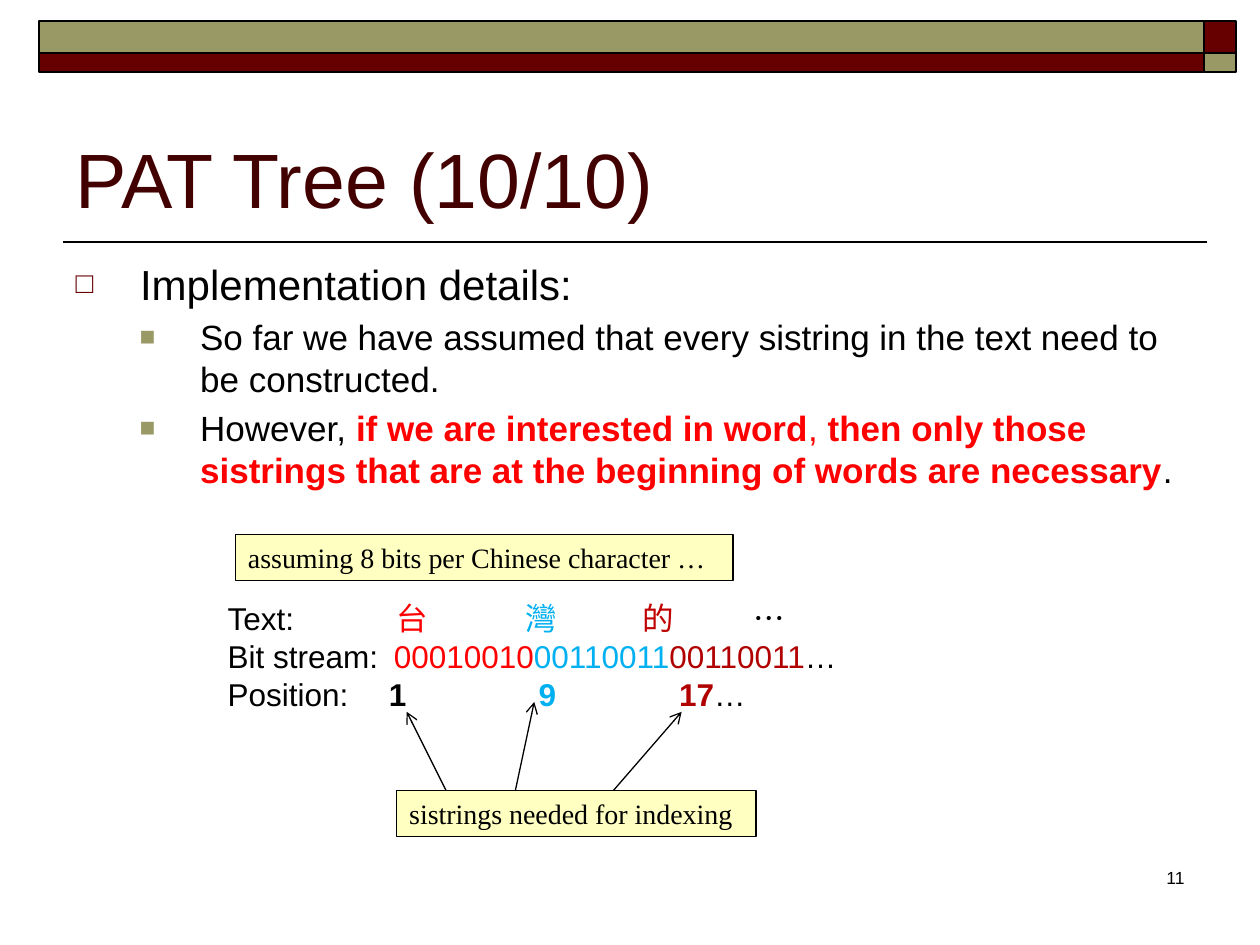
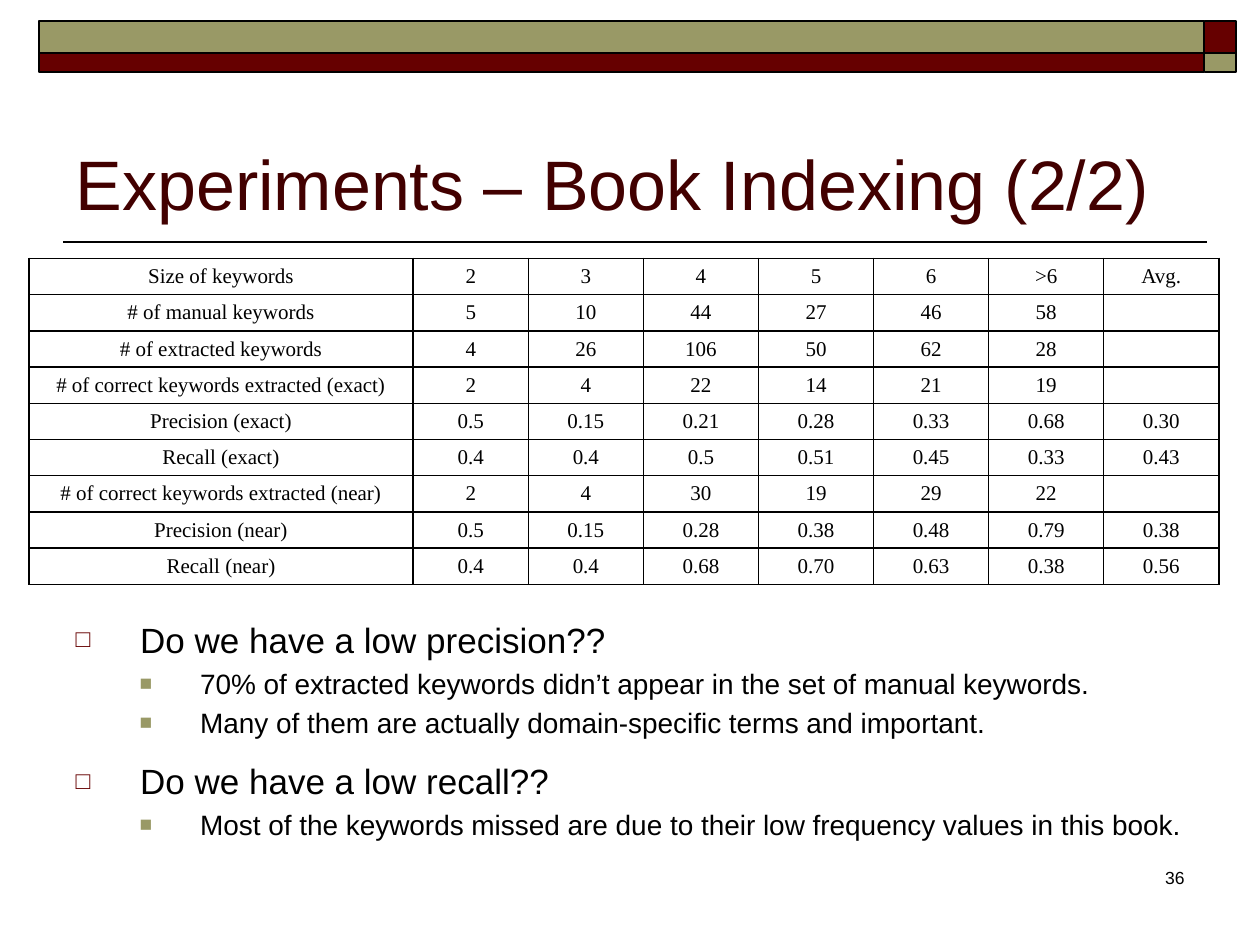
from lxml import etree
from pptx import Presentation
from pptx.dml.color import RGBColor
from pptx.enum.shapes import MSO_CONNECTOR, MSO_SHAPE
from pptx.enum.text import MSO_ANCHOR, MSO_AUTO_SIZE, PP_ALIGN
from pptx.oxml.ns import qn
from pptx.util import Cm, Pt

RECTANGLE = MSO_SHAPE.RECTANGLE
STRAIGHT = MSO_CONNECTOR.STRAIGHT
TOP, MIDDLE, BOTTOM = MSO_ANCHOR.TOP, MSO_ANCHOR.MIDDLE, MSO_ANCHOR.BOTTOM
LEFT, CENTER, RIGHT = PP_ALIGN.LEFT, PP_ALIGN.CENTER, PP_ALIGN.RIGHT
NO_FIT = MSO_AUTO_SIZE.NONE

SANS, SERIF = "Arial", "Times New Roman"
COLORS = {
    "black": "000000",
    "white": "FFFFFF",
    "title": "420000",
    "maroon": "660000",
    "olive": "999966",
    "note": "FFFFC2",
    "red": "FF0000",
    "blue": "00B0F0",
    "crimson": "C00000",
    "brick": "B10000",
}
BULLETS = [
    {"char": "□", "color": "maroon", "percent": 70, "left": 1.3, "hanging": 1.3},
    {"char": "■", "color": "olive", "percent": 75, "left": 2.51, "hanging": 1.22},
]

ASSUMPTIONS = [
    (0, "Implementation details:"),
    (1, "So far we have assumed that every sistring in the text need to be constructed."),
    (1, [
        ("However, ", "black", False),
        ("if we are interested in word", "red", True),
        (", ", "red", False),
        ("then only those sistrings that are at the beginning of words are necessary",
         "red", True),
        (".", "black", False),
    ]),
]
ENCODING = [
    ([3.4, 6, 8.37, 10.6], [
        ("Text:\t", "black", False), ("台\t", "red", False), ("灣\t", "blue", False),
        ("的\t", "crimson", False), ("…", "black", False),
    ]),
    ([3.35], [
        ("Bit stream:\t", "black", False), ("00010010", "red", False),
        ("00110011", "blue", False), ("00110011", "brick", False),
        ("…", "black", False),
    ]),
    ([3.25, 6.27, 9.1], [
        ("Position:\t", "black", False), ("1\t", "black", True), ("9\t", "blue", True),
        ("17", "brick", True), ("…", "black", False),
    ]),
]
INDEX_ARROWS = [
    ((8.99, 15.93), (8.2, 14.35)),
    ((10.39, 15.93), (10.77, 14.15)),
    ((12.37, 15.93), (13.74, 14.35)),
]
RESULTS = [
    ["Size of keywords", "2", "3", "4", "5", "6", ">6", "Avg."],
    ["# of manual keywords", "5", "10", "44", "27", "46", "58", ""],
    ["# of extracted keywords", "4", "26", "106", "50", "62", "28", ""],
    ["# of correct keywords extracted (exact)", "2", "4", "22", "14", "21", "19", ""],
    ["Precision (exact)", "0.5", "0.15", "0.21", "0.28", "0.33", "0.68", "0.30"],
    ["Recall (exact)", "0.4", "0.4", "0.5", "0.51", "0.45", "0.33", "0.43"],
    ["# of correct keywords extracted (near)", "2", "4", "30", "19", "29", "22", ""],
    ["Precision (near)", "0.5", "0.15", "0.28", "0.38", "0.48", "0.79", "0.38"],
    ["Recall (near)", "0.4", "0.4", "0.68", "0.70", "0.63", "0.38", "0.56"],
]
QUESTIONS = [
    (0, "Do we have a low precision??"),
    (1, "70% of extracted keywords didn’t appear in the set of manual keywords."),
    (1, "Many of them are actually domain-specific terms and important."),
    (0, "Do we have a low recall??"),
    (1, "Most of the keywords missed are due to their low frequency values in this book."),
]


def rgb(name):
    return RGBColor.from_string(COLORS[name])


def add_xml(parent, tag, **attributes):
    return etree.SubElement(parent, qn(tag), {k: str(v) for k, v in attributes.items()})


def put_text(paragraph, content, *, size, color="black", font=SANS, align=LEFT):
    paragraph.alignment = align
    pieces = [(content, color, False)] if isinstance(content, str) else content
    for words, shade, bold in pieces:
        run = paragraph.add_run()
        run.text = words
        run.font.name = font
        run.font.size = Pt(size)
        run.font.bold = bold
        run.font.color.rgb = rgb(shade)


def set_frame(frame, anchor=TOP, wrap=True):
    frame.word_wrap = wrap
    frame.auto_size = NO_FIT
    frame.vertical_anchor = anchor
    return frame


def next_paragraph(frame, index):
    return frame.add_paragraph() if index else frame.paragraphs[0]


def place(shape, left, top, width, height):
    shape.left, shape.top = Cm(left), Cm(top)
    shape.width, shape.height = Cm(width), Cm(height)


def add_box(slide, left, top, width, height, fill, line_width):
    box = slide.shapes.add_shape(RECTANGLE, Cm(left), Cm(top), Cm(width), Cm(height))
    box.shadow.inherit = False
    box.fill.solid()
    box.fill.fore_color.rgb = rgb(fill)
    box.line.color.rgb = rgb("black")
    box.line.width = Pt(line_width)
    return box


def add_line(slide, start, end, width, arrow=False):
    line = slide.shapes.add_connector(STRAIGHT, *map(Cm, start + end))
    line.line.color.rgb = rgb("black")
    line.line.width = Pt(width)
    properties = line._element.spPr
    if arrow:
        add_xml(properties.find(qn("a:ln")), "a:tailEnd", type="arrow")
    add_xml(properties, "a:effectLst")


def add_note(slide, words, left, top, width):
    note = add_box(slide, left, top, width, 0.94, "note", 0.75)
    frame = set_frame(note.text_frame, MIDDLE, wrap=False)
    put_text(frame.paragraphs[0], words, size=16, font=SERIF)


def add_text_box(slide, left, top, width, height):
    box = slide.shapes.add_textbox(Cm(left), Cm(top), Cm(width), Cm(height))
    return set_frame(box.text_frame)


def add_bullet(paragraph, level):
    style = BULLETS[level]
    paragraph.level = level
    properties = paragraph._p.get_or_add_pPr()
    properties.set("marL", str(Cm(style["left"])))
    properties.set("indent", str(-Cm(style["hanging"])))
    add_xml(add_xml(properties, "a:buClr"), "a:srgbClr", val=COLORS[style["color"]])
    add_xml(properties, "a:buSzPct", val=style["percent"] * 1000)
    add_xml(properties, "a:buFont", typeface=SANS)
    add_xml(properties, "a:buChar", char=style["char"])


def fill_list(slide, items, top, height, sizes, section_gap=0):
    body = slide.placeholders[1]
    place(body, 1.27, top, 22.86, height)
    frame = set_frame(body.text_frame)
    for index, (level, content) in enumerate(items):
        paragraph = next_paragraph(frame, index)
        put_text(paragraph, content, size=sizes[level])
        gap = section_gap if index and level == 0 else 0
        paragraph.space_before = Pt(sizes[level] * 0.2 + gap)
        add_bullet(paragraph, level)


def add_encoding(slide):
    frame = add_text_box(slide, 4.34, 11.96, 13.11, 2.57)
    for index, (stops, pieces) in enumerate(ENCODING):
        paragraph = next_paragraph(frame, index)
        put_text(paragraph, pieces, size=18)
        tabs = add_xml(paragraph._p.get_or_add_pPr(), "a:tabLst")
        for stop in stops:
            add_xml(tabs, "a:tab", pos=Cm(stop), algn="l")


def add_borders(cell):
    properties = cell._tc.get_or_add_tcPr()
    for side in ("a:lnL", "a:lnR", "a:lnT", "a:lnB"):
        border = add_xml(properties, side, w=Pt(1))
        add_xml(add_xml(border, "a:solidFill"), "a:srgbClr", val=COLORS["black"])


def add_results(slide):
    label_width, value_width, row_height = 7.75, 2.32, 0.73
    rows, columns = len(RESULTS), len(RESULTS[0])
    width = label_width + value_width * (columns - 1)
    table = slide.shapes.add_table(
        rows, columns, Cm(0.58), Cm(5.21), Cm(width), Cm(row_height * rows)).table
    table.first_row = table.horz_banding = False
    for index, column in enumerate(table.columns):
        column.width = Cm(value_width if index else label_width)
    for row, values in zip(table.rows, RESULTS):
        row.height = Cm(row_height)
        for cell, value in zip(row.cells, values):
            add_borders(cell)
            cell.fill.solid()
            cell.fill.fore_color.rgb = rgb("white")
            cell.vertical_anchor = MIDDLE
            cell.margin_top = cell.margin_bottom = Cm(0.05)
            paragraph = cell.text_frame.paragraphs[0]
            if value:
                put_text(paragraph, value, size=12, font=SERIF, align=CENTER)
            else:
                add_xml(paragraph._p, "a:endParaRPr", sz=1200)


def add_slide(deck, title, title_size, number):
    slide = deck.slides.add_slide(deck.slide_layouts[1])
    add_line(slide, (24.33, 4.88), (1.27, 4.88), 1)
    for top, height, wide, corner in ((0.43, 0.64, "olive", "maroon"),
                                      (1.07, 0.38, "maroon", "olive")):
        add_box(slide, 0.79, top, 23.49, height, wide, 1)
        add_box(slide, 24.28, top, 0.64, height, corner, 1)
    heading = slide.shapes.title
    place(heading, 1.27, 1.47, 22.86, 3.18)
    frame = set_frame(heading.text_frame, BOTTOM)
    put_text(frame.paragraphs[0], title, size=title_size, color="title")
    footer = add_text_box(slide, 18.85, 17.35, 5.28, 1.27)
    put_text(footer.paragraphs[0], number, size=10, align=RIGHT)
    return slide


def build_pat_tree(deck):
    slide = add_slide(deck, "PAT Tree (10/10)", 44, "11")
    fill_list(slide, ASSUMPTIONS, 5.08, 11.94, (24, 20))
    add_encoding(slide)
    add_note(slide, "assuming 8 bits per Chinese character …", 4.75, 10.77, 10.03)
    add_note(slide, "sistrings needed for indexing", 8, 15.93, 7.24)
    for start, end in INDEX_ARROWS:
        add_line(slide, start, end, 0.75, arrow=True)


def build_experiments(deck):
    slide = add_slide(deck, "Experiments – Book Indexing (2/2)", 40, "36")
    fill_list(slide, QUESTIONS, 12.34, 5.56, (20, 16), section_gap=8)
    add_results(slide)


def main():
    deck = Presentation()
    deck.slide_width, deck.slide_height = Cm(25.4), Cm(19.05)
    build_pat_tree(deck)
    build_experiments(deck)
    deck.save("out.pptx")


main()
